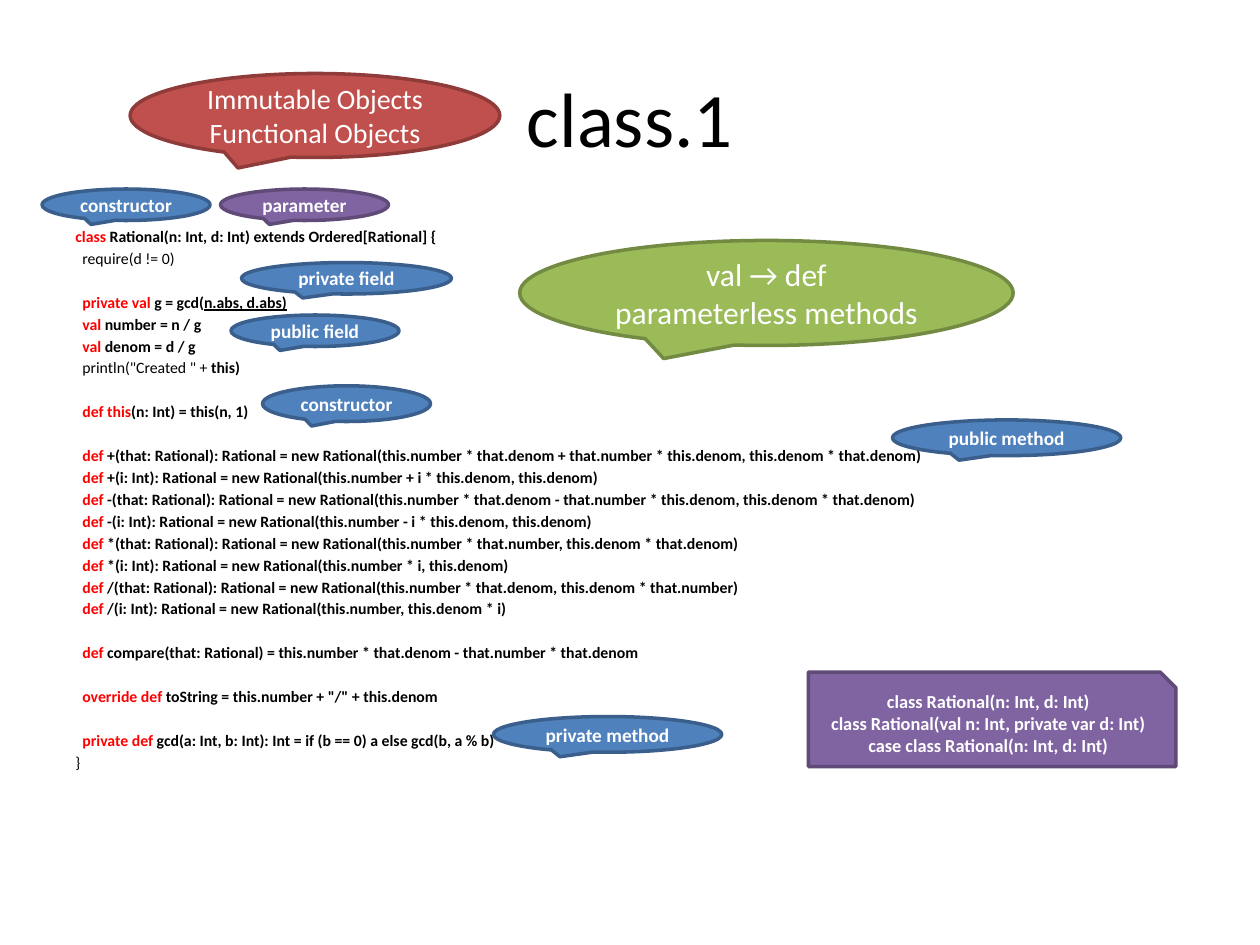
"""Build the slide that annotates a Scala class with callouts."""
from dataclasses import dataclass
from typing import NamedTuple

from pptx import Presentation
from pptx import util as u
from pptx.dml.color import RGBColor
from pptx.enum import shapes, text

COLS, ROWS = 120, 90
FONT = "Calibri"
BLACK = RGBColor(0x00, 0x00, 0x00)
WHITE = RGBColor(0xFF, 0xFF, 0xFF)
KEYWORD = RGBColor(0xFF, 0x00, 0x00)
BLUE, BLUE_EDGE = RGBColor(0x4F, 0x81, 0xBD), RGBColor(0x3A, 0x5F, 0x8C)
RED, RED_EDGE = RGBColor(0xC0, 0x50, 0x4D), RGBColor(0x8E, 0x3B, 0x39)
GREEN, GREEN_EDGE = RGBColor(0x9B, 0xBB, 0x59), RGBColor(0x73, 0x8A, 0x42)
PURPLE, PURPLE_EDGE = RGBColor(0x80, 0x64, 0xA2), RGBColor(0x5F, 0x4A, 0x78)
CALLOUT = shapes.MSO_SHAPE.OVAL_CALLOUT
SNIPPED = shapes.MSO_SHAPE.SNIP_1_RECTANGLE
CODE_SIZE, CODE_INDENT = 9, u.Pt(4)
LINE_GAP, SECTION_GAP = u.Pt(1.66), u.Pt(14.3)


class Box(NamedTuple):
    """Left, top, width and height in grid columns and rows."""
    left: float
    top: float
    width: float
    height: float


@dataclass(frozen=True)
class Code:
    """One line of code: keyword, bold, underlined and plain parts."""
    keyword: str = ""
    bold: str = ""
    underlined: str = ""
    plain: str = ""
    indented: bool = True
    new_section: bool = False


@dataclass(frozen=True)
class Note:
    """A filled shape with centred text."""
    box: Box
    lines: tuple[str, ...]
    fill: RGBColor = BLUE
    edge: RGBColor = BLUE_EDGE
    size: float = 11
    bold: bool = True
    kind: shapes.MSO_SHAPE = CALLOUT


SOURCE = (
    Code("class", " Rational(n: Int, d: Int) extends Ordered[Rational] {", indented=False),
    Code(plain="require(d != 0)"),
    Code("private val ", "g = gcd(", "n.abs, d.abs)", new_section=True),
    Code("val ", "number = n / g"),
    Code("val ", "denom = d / g"),
    Code(plain='println("Created " + ', bold="this)"),
    Code("def this", "(n: Int) = this(n, 1)", new_section=True),
    Code("def ", "+(that: Rational): Rational = new Rational(this.number * that.denom"
         " + that.number * this.denom, this.denom * that.denom)", new_section=True),
    Code("def ", "+(i: Int): Rational = new Rational(this.number + i * this.denom, this.denom)"),
    Code("def ", "-(that: Rational): Rational = new Rational(this.number * that.denom"
         " - that.number * this.denom, this.denom * that.denom)"),
    Code("def ", "-(i: Int): Rational = new Rational(this.number - i * this.denom, this.denom)"),
    Code("def ", "*(that: Rational): Rational = new Rational(this.number * that.number,"
         " this.denom * that.denom)"),
    Code("def ", "*(i: Int): Rational = new Rational(this.number * i, this.denom)"),
    Code("def ", "/(that: Rational): Rational = new Rational(this.number * that.denom,"
         " this.denom * that.number)"),
    Code("def ", "/(i: Int): Rational = new Rational(this.number, this.denom * i)"),
    Code("def ", "compare(that: Rational) = this.number * that.denom - that.number * that.denom",
         new_section=True),
    Code("override def ", 'toString = this.number + "/" + this.denom', new_section=True),
    Code("private def ", "gcd(a: Int, b: Int): Int = if (b == 0) a else gcd(b, a % b)",
         new_section=True),
    Code(plain="}", indented=False),
)

NOTES = (
    Note(Box(4, 18, 16, 3), ("constructor",)),
    Note(Box(25, 36.75, 16, 3.4), ("constructor",)),
    Note(Box(23, 25, 20, 3), ("private field",)),
    Note(Box(22, 30, 16, 3), ("public field",)),
    Note(Box(85, 40, 21.75, 3.4), ("public method",)),
    Note(Box(47, 68.25, 21.75, 3.4), ("private method",)),
    Note(Box(12.4, 7, 35.2, 8), ("Immutable Objects", "Functional Objects"),
         RED, RED_EDGE, 16, False),
    Note(Box(49.5, 22.9, 47, 10), ("val → def", "parameterless methods"),
         GREEN, GREEN_EDGE, 18, False),
    Note(Box(21, 18, 16, 3), ("parameter",), PURPLE, PURPLE_EDGE),
    Note(Box(77, 64, 35, 9),
         ("class Rational(n: Int, d: Int)", "class Rational(val n: Int, private var d: Int)",
          "case class Rational(n: Int, d: Int)"), PURPLE, PURPLE_EDGE, 10.5, kind=SNIPPED),
)


def place(prs, box: Box) -> tuple[int, ...]:
    """Turn grid units into slide lengths."""
    col, row = prs.slide_width / COLS, prs.slide_height / ROWS
    return (round(box.left * col), round(box.top * row),
            round(box.width * col), round(box.height * row))


def add_run(p, content: str, size: float, color: RGBColor, **style) -> None:
    """Append a formatted run to a paragraph."""
    r = p.add_run()
    r.text = content
    for name, value in {"name": FONT, "size": u.Pt(size), **style}.items():
        setattr(r.font, name, value)
    r.font.color.rgb = color


def paragraph(tf, index: int):
    """Return the first paragraph, or a new one after it."""
    return tf.add_paragraph() if index else tf.paragraphs[0]


def add_centred(tf, lines: tuple[str, ...], size: float, color: RGBColor, bold: bool) -> None:
    """Fill a text frame with lines centred both ways."""
    frame = {"word_wrap": True, "vertical_anchor": text.MSO_ANCHOR.MIDDLE,
             "margin_left": 0, "margin_right": 0, "margin_top": 0, "margin_bottom": 0}
    for name, value in frame.items():
        setattr(tf, name, value)
    for i, line in enumerate(lines):
        p = paragraph(tf, i)
        p.alignment = text.PP_ALIGN.CENTER
        add_run(p, line, size, color, bold=bold)


def add_code(prs, s, box: Box, source: tuple[Code, ...]) -> None:
    """Draw the highlighted source code."""
    tf = s.shapes.add_textbox(*place(prs, box)).text_frame
    tf.word_wrap = True
    for i, line in enumerate(source):
        p = paragraph(tf, i)
        if i:
            p.space_before = SECTION_GAP if line.new_section else LINE_GAP
        if line.indented:
            p._p.get_or_add_pPr().set("marL", str(CODE_INDENT))
        parts = ((line.plain, BLACK, {"bold": False}),
                 (line.keyword, KEYWORD, {"bold": True}),
                 (line.bold, BLACK, {"bold": True}),
                 (line.underlined, BLACK, {"bold": True, "underline": True}))
        for content, color, style in parts:
            if content:
                add_run(p, content, CODE_SIZE, color, **style)


def add_note(prs, s, note: Note) -> None:
    """Draw one filled note."""
    sp = s.shapes.add_shape(note.kind, *place(prs, note.box))
    sp.shadow.inherit = False
    sp.fill.solid()
    sp.fill.fore_color.rgb = note.fill
    sp.line.color.rgb = note.edge
    sp.line.width = u.Pt(2)
    add_centred(sp.text_frame, note.lines, note.size, WHITE, note.bold)


def main() -> None:
    """Build and save the slide."""
    prs = Presentation()
    prs.slide_width, prs.slide_height = u.Inches(10), u.Inches(7.5)
    s = prs.slides.add_slide(prs.slide_layouts[6])
    title = s.shapes.add_textbox(*place(prs, Box(6, 3.6, 108, 15)))
    add_centred(title.text_frame, ("class.1",), 44, BLACK, False)
    add_code(prs, s, Box(6, 21, 108, 59.4), SOURCE)
    for note in NOTES:
        add_note(prs, s, note)
    prs.save("out.pptx")


if __name__ == "__main__":
    main()
